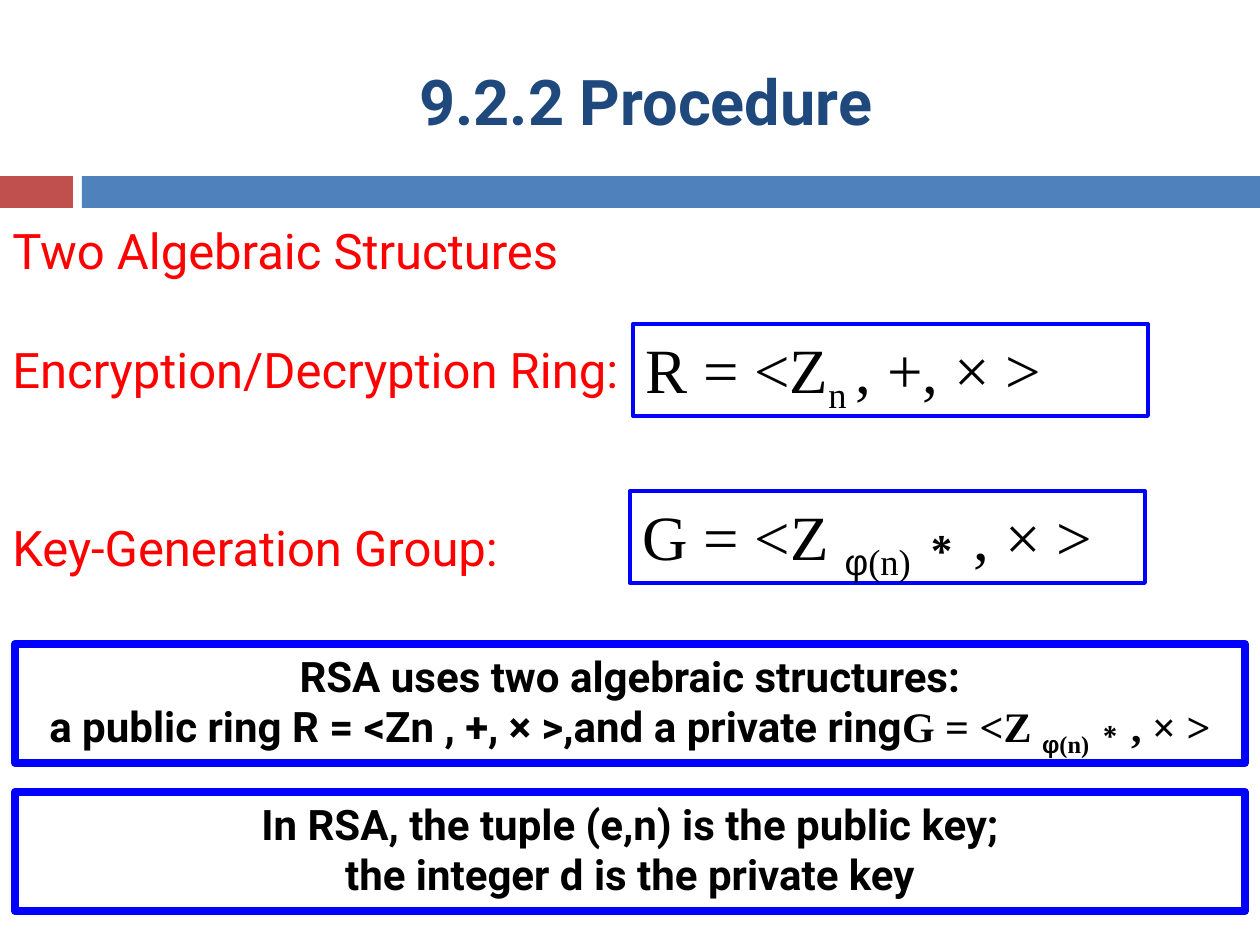
"""Build the slide on the two algebraic structures of RSA."""
import pptx
import pptx.util
import pptx.dml.color
import pptx.enum.shapes
import pptx.enum.text

RGB = pptx.dml.color.RGBColor
ALIGN = pptx.enum.text.PP_ALIGN
ANCHOR = pptx.enum.text.MSO_ANCHOR
Pt = pptx.util.Pt

WHITE = RGB(0xFF, 0xFF, 0xFF)
BLACK = RGB(0, 0, 0)
BLUE = RGB(0, 0, 0xFF)
RED = RGB(0xFF, 0, 0)
NAVY = RGB(0x1F, 0x49, 0x7D)
BRICK = RGB(0xC0, 0x50, 0x4D)
STEEL = RGB(0x4F, 0x81, 0xBD)

SANS, SERIF, GREEK = "Roboto", "Times New Roman", "Arial"
SUB = "-25000"
GROUP = [("G = <Z ", SERIF, None), ("φ", GREEK, SUB),
         ("(n)", SERIF, SUB), ("∗, × >", SERIF, None)]
RING = [("R = <Z", SERIF, None), ("n ", SERIF, SUB),
        (", +, × >", SERIF, None)]


def px(num):
    """Turn pixels into EMU."""
    return pptx.util.Emu(round(num * 914400 / 126))


def plain(text):
    """Give a line of one sans run."""
    return [(text, SANS, None)]


def write(frame, lines, size, color, align, bold=False, gaps=()):
    """Fill a text frame with lines made of (text, font, baseline) runs."""
    frame.word_wrap = True
    for pos, line in enumerate(lines):
        para = frame.add_paragraph() if pos else frame.paragraphs[0]
        para.alignment = align
        if gaps:
            para.space_before = Pt(gaps[pos])
        for text, face, base in line:
            run = para.add_run()
            run.text = text
            form = {"name": face, "size": Pt(size), "bold": bold}
            for key, value in form.items():
                setattr(run.font, key, value)
            run.font.color.rgb = color
            if base:
                run._r.get_or_add_rPr().set("baseline", base)


def add_rect(slide, area, fill, width=0):
    """Add a filled rectangle, with a blue border if a width is given."""
    kind = pptx.enum.shapes.MSO_SHAPE.RECTANGLE
    rect = slide.shapes.add_shape(kind, *map(px, area))
    rect.shadow.inherit = False
    rect.fill.solid()
    rect.fill.fore_color.rgb = fill
    if width:
        rect.line.color.rgb = BLUE
        rect.line.width = Pt(width)
    else:
        rect.line.fill.background()
    return rect


def add_box(slide, area, width, lines, **form):
    """Add a bordered box with text at its top."""
    frame = add_rect(slide, area, WHITE, width).text_frame
    frame.vertical_anchor = ANCHOR.TOP
    write(frame, lines, color=BLACK, **form)


def add_text(slide, area, anchor, lines, **form):
    """Add a text box."""
    frame = slide.shapes.add_textbox(*map(px, area)).text_frame
    frame.vertical_anchor = anchor
    write(frame, lines, **form)


def main():
    """Build and save the slide."""
    deck = pptx.Presentation()
    deck.slide_width, deck.slide_height = px(1260), px(945)
    slide = deck.slides.add_slide(deck.slide_layouts[6])

    add_rect(slide, (0, 176, 73, 32), BRICK)
    add_rect(slide, (82, 176, 1178, 32), STEEL)
    add_text(slide, (84, 32, 1124, 136), ANCHOR.MIDDLE,
             [plain("9.2.2 Procedure")],
             size=36, color=NAVY, align=ALIGN.CENTER, bold=True)

    heads = ["Two Algebraic Structures", "Encryption/Decryption Ring:",
             "Key-Generation Group:"]
    add_text(slide, (0, 214, 1260, 606), ANCHOR.TOP, map(plain, heads),
             size=28, color=RED, align=ALIGN.JUSTIFY, gaps=(0, 34.5, 68))

    for left, top, line in ((633, 324, RING), (630, 491, GROUP)):
        add_box(slide, (left, top, 515, 92), 2.25, [line],
                size=36, align=ALIGN.JUSTIFY)

    uses = [plain("RSA uses two algebraic structures:"),
            plain("a public ring R = <Zn , +, × >,and a private ring") + GROUP]
    keys = [plain("In RSA, the tuple (e,n) is the public key;"),
            plain("the integer d is the private key")]
    for top, lines in ((644, uses), (792, keys)):
        add_box(slide, (15, top, 1230, 119), 4.5, lines,
                size=24, align=ALIGN.CENTER, bold=True)

    deck.save("out.pptx")


if __name__ == "__main__":
    main()
